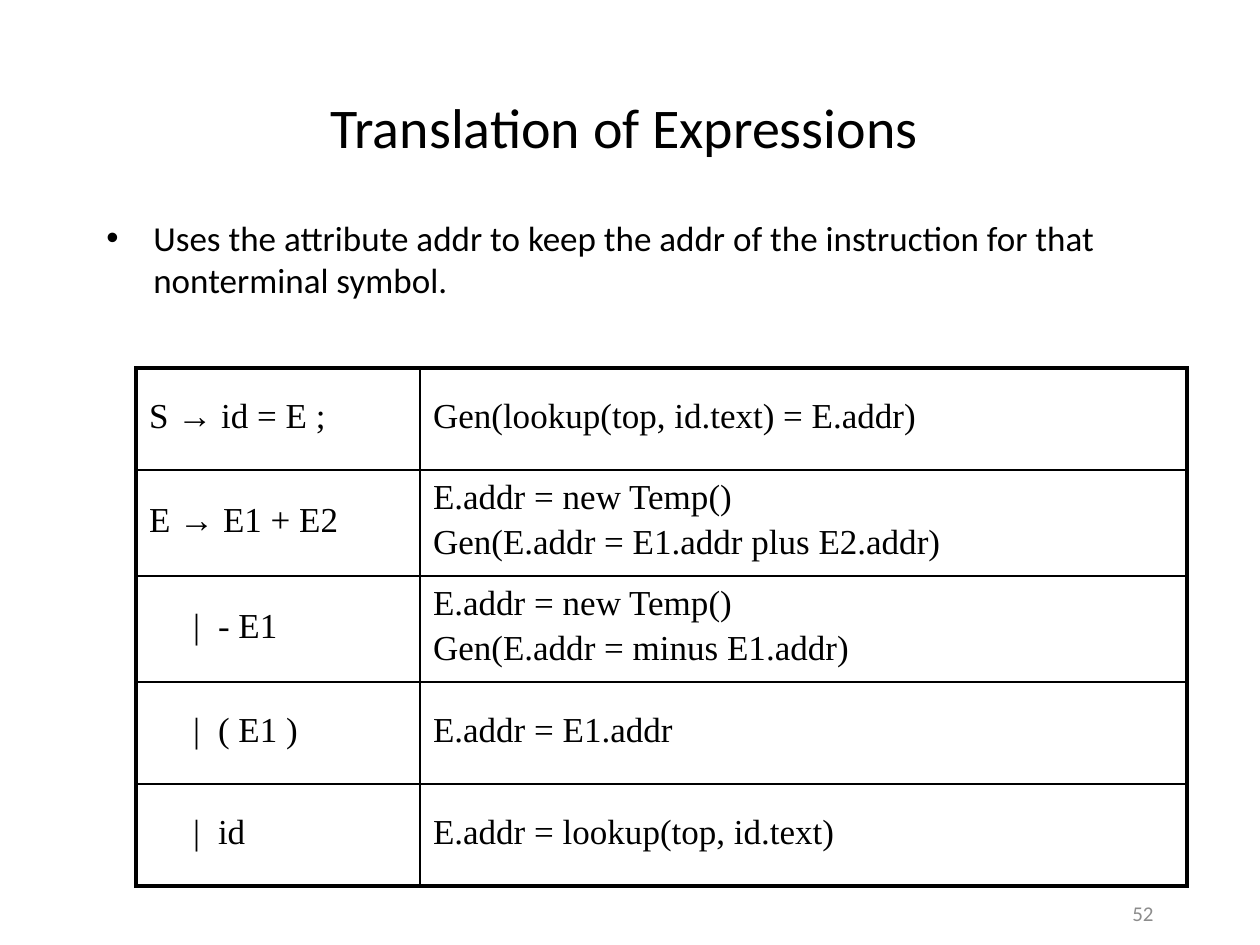
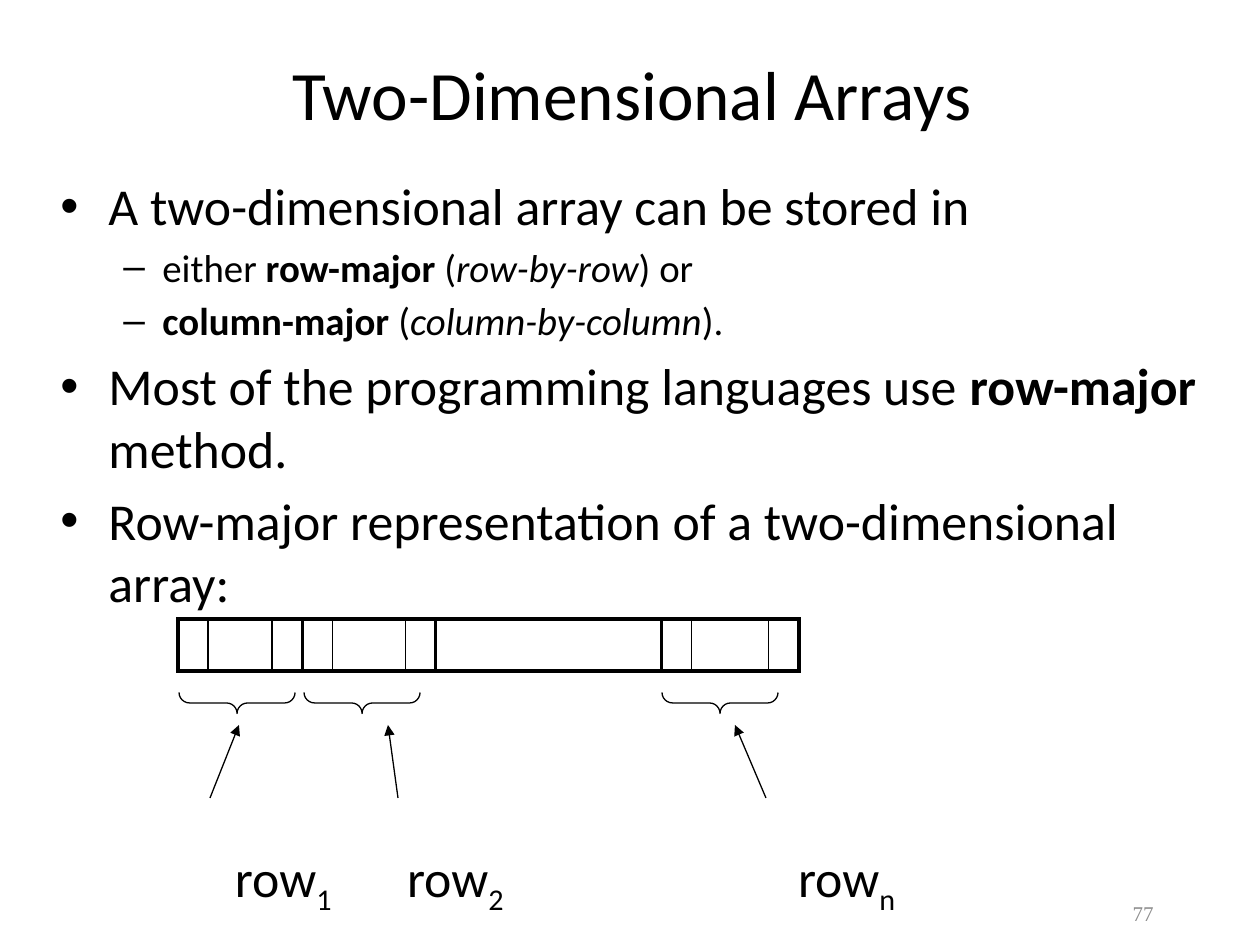
from dataclasses import dataclass
from itertools import accumulate

from lxml.etree import SubElement
from pptx import Presentation
from pptx.dml.color import RGBColor
from pptx.enum.shapes import MSO_CONNECTOR, MSO_SHAPE
from pptx.enum.text import MSO_ANCHOR, PP_ALIGN
from pptx.oxml import parse_xml
from pptx.oxml.ns import nsdecls, qn
from pptx.util import Pt


@dataclass(frozen=True)
class Theme:
    ink: str = "000000"
    muted: str = "8C8C8C"
    sans: str = "Calibri"
    serif: str = "Times New Roman"
    symbol: str = "Arial"
    small_title: float = 32
    large_title: float = 39.6
    body: float = 29.6
    sub_body: float = 22.2
    compact: float = 20
    number: float = 12
    thick: float = 2.25
    thin: float = 1
    hair: float = 0.75


T = Theme()
PX = 914400 / 126

EXPRESSIONS = {
    "title": "Translation of Expressions",
    "title_box": (94, 84, 1061, 84),
    "body_box": (94, 210, 1061, 126),
    "bullets": [
        (0, [("Uses the attribute addr to keep the addr of the instruction "
              "for that nonterminal symbol.", "")]),
    ],
    "number": "52",
}
RULES = [
    ("S → id = E ;", ["Gen(lookup(top, id.text) = E.addr)"]),
    ("E → E1 + E2", ["E.addr = new Temp()", "Gen(E.addr = E1.addr plus E2.addr)"]),
    ("|\t- E1", ["E.addr = new Temp()", "Gen(E.addr = minus E1.addr)"]),
    ("|\t( E1 )", ["E.addr = E1.addr"]),
    ("|\tid", ["E.addr = lookup(top, id.text)"]),
]
RULES_AT = (136, 368)
RULE_COLS = (284, 767)
RULE_ROWS = (102, 106, 106, 102, 102)
ALTERNATIVE_INDENT, ALTERNATIVE_HANG = 69, 25

ARRAYS = {
    "title": "Two-Dimensional Arrays",
    "title_box": (102, 49, 1060, 88),
    "body_box": (48, 168, 1163, 703),
    "bullets": [
        (0, [("A two-dimensional array can be stored in", "")]),
        (1, [("either ", ""), ("row-major", "b"), (" (", ""),
             ("row-by-row", "i"), (") or", "")]),
        (1, [("column-major", "b"), (" (", ""), ("column-by-column", "i"), (").", "")]),
        (0, [("Most of the programming languages use ", ""),
             ("row-major", "b"), (" method.", "")]),
        (0, [("Row-major representation of a two-dimensional array:", "")]),
    ],
    "number": "77",
}
MEMORY_AT = (178, 619)
MEMORY_HEIGHT = 52
MEMORY_GROUPS = [(29, 64, 29), (28, 73, 28), (226,), (28, 77, 28)]
ARRAY_ROWS = [
    {"sub": "1", "brace": 237, "arrow": (210, 239), "label": 235},
    {"sub": "2", "brace": 362, "arrow": (398, 388), "label": 407},
    {"sub": "n", "brace": 720, "arrow": (766, 735), "label": 798},
]
BRACE_Y, BRACE_DEPTH, BRACE_SPAN = 703, 21, 116
ARROW_FROM_Y, ARROW_TO_Y = 798, 725
LABEL_Y, LABEL_W, LABEL_H = 846, 120, 64
NUMBER_BOX = (914, 892, 252, 42)


def px(*values):
    return [round(v * PX) for v in values]


def add_run(p, text, size, font=T.sans, color=T.ink, style=""):
    r = p.add_run()
    r.text = text
    r.font.size = Pt(size)
    r.font.name = font
    r.font.color.rgb = RGBColor.from_string(color)
    r.font.bold = style == "b"
    r.font.italic = style == "i"
    return r


def indent(p, left, hang):
    pPr = p._p.get_or_add_pPr()
    left, hang = px(left, hang)
    pPr.set("marL", str(left))
    pPr.set("indent", str(-hang))
    return pPr


def add_bullet(p, char, left, hang):
    pPr = indent(p, left, hang)
    SubElement(pPr, qn("a:buFont")).set("typeface", T.symbol)
    SubElement(pPr, qn("a:buChar")).set("char", char)


def add_text_box(s, box, anchor=MSO_ANCHOR.TOP):
    tf = s.shapes.add_textbox(*px(*box)).text_frame
    tf.word_wrap = True
    tf.vertical_anchor = anchor
    return tf


def paragraphs(tf, items):
    for i, item in enumerate(items):
        yield (tf.add_paragraph() if i else tf.paragraphs[0]), item


def add_slide(prs, content, title_size, levels, number_font):
    s = prs.slides.add_slide(prs.slide_layouts[5])
    title = s.shapes.title
    title.left, title.top, title.width, title.height = px(*content["title_box"])
    tf = title.text_frame
    tf.vertical_anchor = MSO_ANCHOR.MIDDLE
    p = tf.paragraphs[0]
    p.alignment = PP_ALIGN.CENTER
    add_run(p, content["title"], title_size)

    tf = add_text_box(s, content["body_box"])
    for p, (level, runs) in paragraphs(tf, content["bullets"]):
        size, before, char, left, hang = levels[level]
        p.level = level
        p.space_before = Pt(before)
        add_bullet(p, char, left, hang)
        for text, style in runs:
            add_run(p, text, size, style=style)

    p = add_text_box(s, NUMBER_BOX, MSO_ANCHOR.MIDDLE).paragraphs[0]
    p.alignment = PP_ALIGN.RIGHT
    add_run(p, content["number"], T.number, number_font, T.muted)
    return s


def set_borders(cell, widths):
    tcPr = cell._tc.get_or_add_tcPr()
    for i, (side, width) in enumerate(zip("LRTB", widths)):
        tcPr.insert(i, parse_xml(
            f'<a:ln{side} {nsdecls("a")} w="{Pt(width)}"><a:solidFill>'
            f'<a:srgbClr val="{T.ink}"/></a:solidFill></a:ln{side}>'))


def add_grid(s, at, cols, rows, thick_cols):
    size = (sum(cols), sum(rows))
    table = s.shapes.add_table(len(rows), len(cols), *px(*at, *size)).table
    table.first_row = table.horz_banding = False
    for col, width in zip(table.columns, px(*cols)):
        col.width = width
    for row, height in zip(table.rows, px(*rows)):
        row.height = height
    for y in range(len(rows)):
        for x in range(len(cols)):
            cell = table.cell(y, x)
            cell.fill.background()
            cell.margin_top = cell.margin_bottom = 0
            edges = (x in thick_cols, x + 1 in thick_cols,
                     y == 0, y + 1 == len(rows))
            set_borders(cell, [T.thick if e else T.thin for e in edges])
    return table


def fill_cell(cell, lines):
    cell.vertical_anchor = MSO_ANCHOR.MIDDLE
    cell.margin_left, cell.margin_right, cell.margin_top, cell.margin_bottom = px(13, 13, 3, 6)
    for p, line in paragraphs(cell.text_frame, lines):
        p.line_spacing = 0.93
        p.space_before = Pt(5)
        if line.startswith("|"):
            indent(p, ALTERNATIVE_INDENT, ALTERNATIVE_HANG)
        head, arrow, rest = line.partition("→")
        for text, font in ((head, T.serif), (arrow, T.symbol), (rest, T.serif)):
            if text:
                add_run(p, text, T.compact, font)


def set_line(sp):
    sp.line.color.rgb = RGBColor.from_string(T.ink)
    sp.line.width = Pt(T.hair)


def add_brace(s, center_x):
    sp = s.shapes.add_shape(MSO_SHAPE.LEFT_BRACE, *px(
        center_x - BRACE_DEPTH / 2, BRACE_Y - BRACE_SPAN / 2, BRACE_DEPTH, BRACE_SPAN))
    sp.adjustments[0] = sp.adjustments[1] = 0.5
    sp.rotation = 270
    sp._element.spPr.find(qn("a:xfrm")).set("flipV", "1")
    sp.fill.background()
    sp.shadow.inherit = False
    set_line(sp)


def add_arrow(s, start_x, end_x):
    sp = s.shapes.add_connector(
        MSO_CONNECTOR.STRAIGHT, *px(start_x, ARROW_FROM_Y, end_x, ARROW_TO_Y))
    set_line(sp)
    SubElement(sp.line._get_or_add_ln(), qn("a:tailEnd")).set("type", "triangle")
    SubElement(sp._element.spPr, qn("a:effectLst"))


def add_row_label(s, left, sub):
    tf = add_text_box(s, (left, LABEL_Y, LABEL_W, LABEL_H))
    tf.margin_left = tf.margin_right = tf.margin_top = tf.margin_bottom = 0
    p = tf.paragraphs[0]
    add_run(p, "row", T.body)
    r = add_run(p, sub, T.body)
    r.font._element.set("baseline", "-25000")


def build_expressions(prs):
    levels = [(T.compact, 5, "•", 47, 47)]
    s = add_slide(prs, EXPRESSIONS, T.small_title, levels, T.sans)
    table = add_grid(s, RULES_AT, RULE_COLS, RULE_ROWS, {0, len(RULE_COLS)})
    for y, (production, actions) in enumerate(RULES):
        fill_cell(table.cell(y, 0), [production])
        fill_cell(table.cell(y, 1), actions)


def build_arrays(prs):
    levels = [(T.body, 6, "•", 48, 48), (T.sub_body, 4, "–", 102, 39)]
    s = add_slide(prs, ARRAYS, T.large_title, levels, T.serif)
    cols = [width for group in MEMORY_GROUPS for width in group]
    group_edges = set(accumulate(map(len, MEMORY_GROUPS), initial=0))
    add_grid(s, MEMORY_AT, cols, [MEMORY_HEIGHT], group_edges)
    for row in ARRAY_ROWS:
        add_brace(s, row["brace"])
        add_arrow(s, *row["arrow"])
        add_row_label(s, row["label"], row["sub"])


def main():
    prs = Presentation()
    prs.slide_width, prs.slide_height = px(1260, 945)
    build_expressions(prs)
    build_arrays(prs)
    prs.save("out.pptx")


if __name__ == "__main__":
    main()
